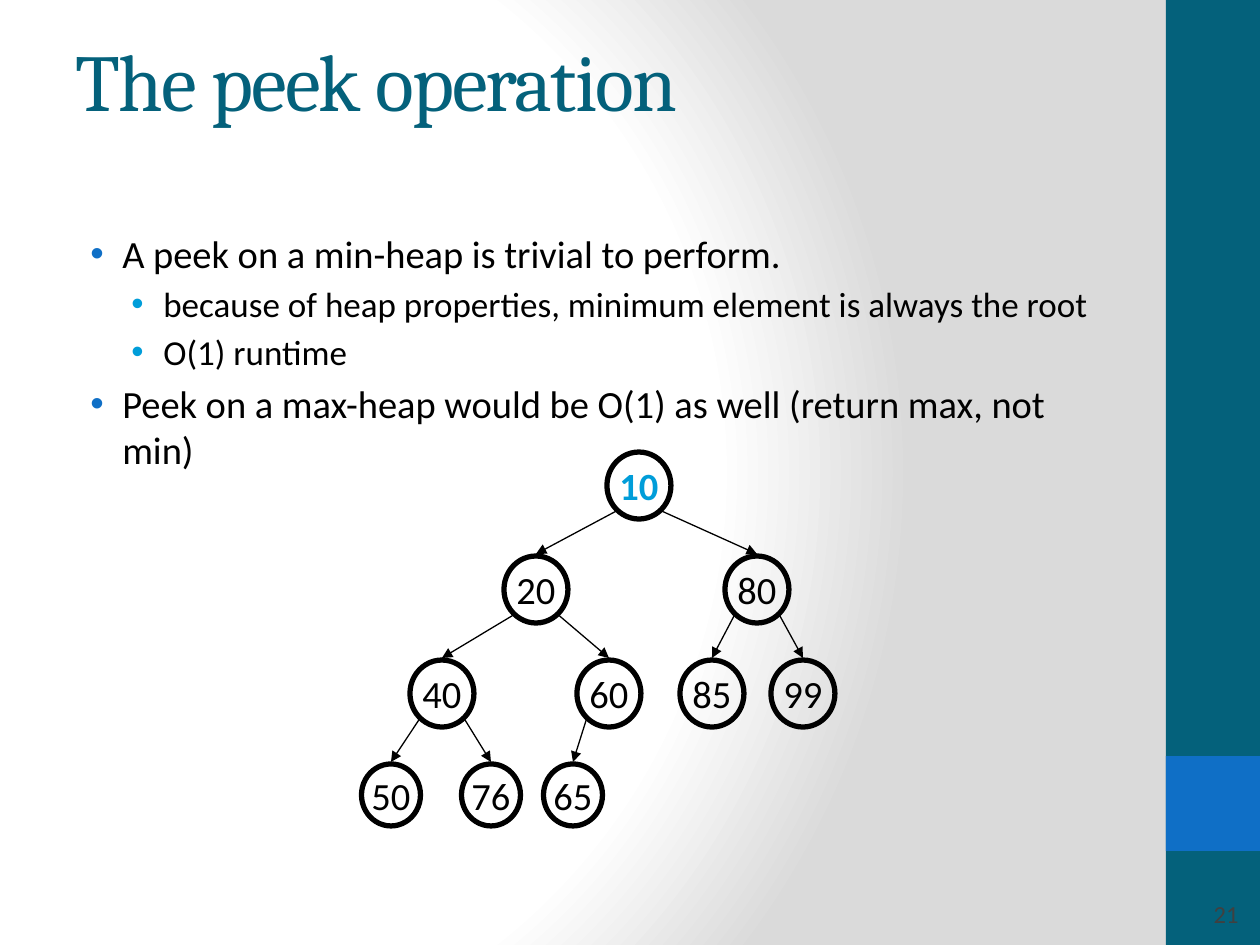
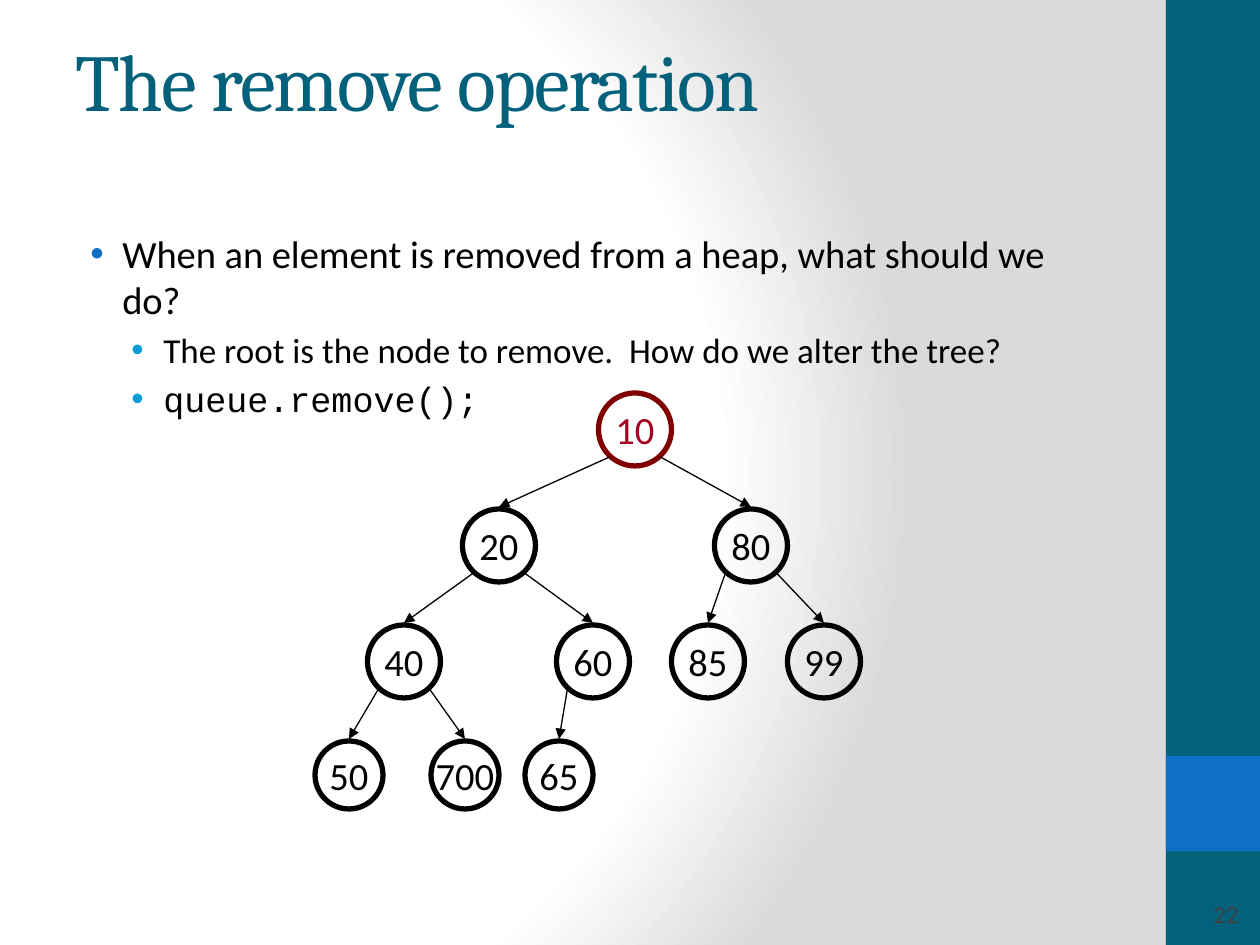
import pptx
import pptx.dml.color
import pptx.enum.shapes
import pptx.enum.text
import pptx.oxml
import pptx.oxml.ns
import pptx.util
from lxml import etree

SCALE = 914400 // 126
TEAL, BLUE, SKY = "04617B", "0F6FC6", "009DD9"
BLACK, GREY, MAROON, CRIMSON = "000000", "404040", "800000", "A50021"
SHAPE = pptx.enum.shapes.MSO_SHAPE
ALIGN = pptx.enum.text.PP_ALIGN
ANCHOR = pptx.enum.text.MSO_ANCHOR

BACKGROUND = f"""<a:gradFill {pptx.oxml.ns.nsdecls('a')} rotWithShape="1">
  <a:gsLst>
    <a:gs pos="0"><a:srgbClr val="FFFFFF"/></a:gs>
    <a:gs pos="75000"><a:srgbClr val="FFFFFF"/></a:gs>
    <a:gs pos="100000"><a:srgbClr val="DADADA"/></a:gs>
  </a:gsLst>
  <a:path path="circle"><a:fillToRect l="20000" t="50000" r="100000" b="50000"/></a:path>
</a:gradFill>"""


def px(*lengths):
    """Turn pixel lengths into a list of EMU lengths."""
    return [pptx.util.Emu(round(length * SCALE)) for length in lengths]


def rgb(code):
    """Turn a hex string into a colour."""
    return pptx.dml.color.RGBColor.from_string(code)


def add_child(parent, tag, **attributes):
    """Append a DrawingML element to its parent and return it."""
    return etree.SubElement(parent, pptx.oxml.ns.qn(tag), attributes)


def write_text(para, text, size=22, font="Calibri", color=BLACK, bold=False,
               align=ALIGN.LEFT, tracking=None):
    """Write one formatted span into a paragraph."""
    para.alignment = align
    span = para.add_run()
    span.text = text
    span.font.size = pptx.util.Pt(size)
    span.font.name = font
    span.font.bold = bold
    span.font.color.rgb = rgb(color)
    if tracking is not None:
        span.font._element.set("spc", str(tracking * 100))


class SlideWriter:
    """Holds the deck style and the current page."""

    def __init__(self):
        self.deck = pptx.Presentation()
        self.deck.slide_width, self.deck.slide_height = px(1260, 945)
        self.page = None

    def new_page(self, title, number):
        """Start a page with background, side bands, title and number."""
        self.page = self.deck.slides.add_slide(self.deck.slide_layouts[5])
        self.page.background.fill.gradient()
        gradient = next(self.page.element.iter(pptx.oxml.ns.qn("a:gradFill")))
        gradient.getparent().replace(gradient, pptx.oxml.parse_xml(BACKGROUND))
        self.band(0, 945, TEAL)
        self.band(756, 95, BLUE)

        box = self.page.shapes.title
        box.left, box.top, box.width, box.height = px(63, 0, 1050, 158)
        box.text_frame.vertical_anchor = ANCHOR.MIDDLE
        write_text(box.text_frame.paragraphs[0], title, size=46, font="Cambria",
                   color=TEAL, tracking=-1)

        frame = self.text_box(1166, 890, 85, 48)
        frame.vertical_anchor = ANCHOR.MIDDLE
        write_text(frame.paragraphs[0], str(number), size=14, color=GREY,
                   align=ALIGN.RIGHT)

    def band(self, top, height, color):
        """Draw a filled band on the right edge."""
        band = self.page.shapes.add_shape(SHAPE.RECTANGLE, *px(1166, top, 94, height))
        band.shadow.inherit = False
        band.fill.solid()
        band.fill.fore_color.rgb = rgb(color)
        band.line.fill.background()

    def text_box(self, left, top, width, height):
        """Add a wrapping text box and return its frame."""
        box = self.page.shapes.add_textbox(*px(left, top, width, height))
        box.text_frame.word_wrap = True
        return box.text_frame

    def bullets(self, items):
        """Write (level, text, font) items as a two-level bullet list."""
        frame = self.text_box(63, 168, 1050, 714)
        frame.margin_top = px(62)[0]
        for index, (level, text, font) in enumerate(items):
            para = frame.add_paragraph() if index else frame.paragraphs[0]
            size = (22, 20)[level]
            write_text(para, text, size=size, font=font)
            para.level = level
            para.space_before = pptx.util.Pt(size * 0.18 if index else 0)
            margin, indent = px((47, 88)[level], -32)
            properties = para._p.get_or_add_pPr()
            properties.set("marL", str(margin))
            properties.set("indent", str(indent))
            bullet_color = add_child(properties, "a:buClr")
            add_child(bullet_color, "a:srgbClr", val=(BLUE, SKY)[level])
            add_child(properties, "a:buFont", typeface="Arial")
            add_child(properties, "a:buChar", char="•")

    def node(self, label, center, top, width, height, outline=BLACK, **text_format):
        """Draw one outlined tree node."""
        node = self.page.shapes.add_shape(
            SHAPE.OVAL, *px(center - width / 2, top, width, height))
        node.shadow.inherit = False
        node.fill.background()
        node.line.color.rgb = rgb(outline)
        node.line.width = pptx.util.Pt(3)
        frame = node.text_frame
        frame.word_wrap = False
        frame.vertical_anchor = ANCHOR.MIDDLE
        write_text(frame.paragraphs[0], label, align=ALIGN.CENTER, **text_format)

    def arrow(self, *ends):
        """Draw a thin arrow from x, y to x, y."""
        arrow = self.page.shapes.add_connector(
            pptx.enum.shapes.MSO_CONNECTOR.STRAIGHT, *px(*ends))
        arrow.line.color.rgb = rgb(BLACK)
        arrow.line.width = pptx.util.Pt(0.75)
        add_child(arrow.line._get_or_add_ln(), "a:tailEnd", type="triangle")
        add_child(arrow._element.spPr, "a:effectLst")

    def heap(self, nodes, top, pitch, node_size, leaf_size, **root_format):
        """Draw a binary heap from (label, center) pairs in level order."""
        width, height = node_size
        for index, (label, center) in enumerate(nodes):
            depth = (index + 1).bit_length() - 1
            node_top = top + depth * pitch
            size = leaf_size if depth == 3 else node_size
            self.node(label, center, node_top, *size,
                      **({} if index else root_format))
            if index:
                parent_center = nodes[(index - 1) // 2][1]
                side = -1 if index % 2 else 1
                self.arrow(parent_center + side * 0.35 * width,
                           node_top - pitch + 0.85 * height + 2,
                           center, node_top - 2)


writer = SlideWriter()

writer.new_page("The peek operation", 21)
writer.bullets([
    (0, "A peek on a min-heap is trivial to perform.", "Calibri"),
    (1, "because of heap properties, minimum element is always the root", "Calibri"),
    (1, "O(1) runtime", "Calibri"),
    (0, "Peek on a max-heap would be O(1) as well (return max, not min)", "Calibri"),
])
writer.heap(
    [("10", 639), ("20", 536), ("80", 757), ("40", 442), ("60", 609),
     ("85", 712), ("99", 803), ("50", 391), ("76", 491), ("65", 573)],
    top=452, pitch=104, node_size=(64, 67), leaf_size=(59, 62),
    color=SKY, bold=True)

writer.new_page("The remove operation", 22)
writer.bullets([
    (0, "When an element is removed from a heap, what should we do?", "Calibri"),
    (1, "The root is the node to remove.  How do we alter the tree?", "Calibri"),
    (1, "queue.remove();", "Courier New"),
])
writer.heap(
    [("10", 635), ("20", 499), ("80", 751), ("40", 404), ("60", 593),
     ("85", 708), ("99", 824), ("50", 349), ("700", 465), ("65", 559)],
    top=393, pitch=116, node_size=(73, 73), leaf_size=(68, 68),
    outline=MAROON, color=CRIMSON)

writer.deck.save("out.pptx")
